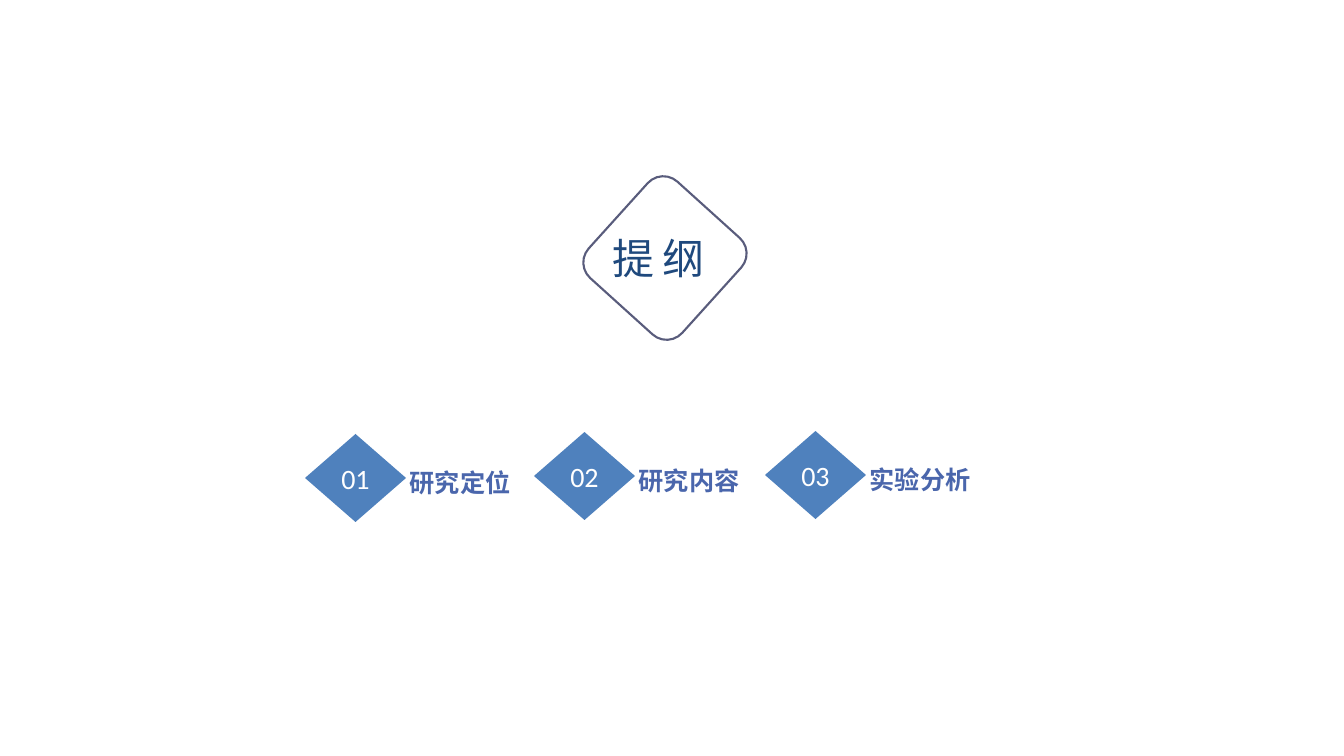
from pptx import Presentation
from pptx.dml.color import RGBColor
from pptx.enum.shapes import MSO_SHAPE as SHAPE
from pptx.enum.text import MSO_ANCHOR as ANCHOR, PP_ALIGN as ALIGN
from pptx.util import Pt

PX = 914400 / 100.8
COLORS = {
    "frame": "595C7C",
    "title": "1F497D",
    "label": "4A66AC",
    "diamond": "4F81BD",
    "white": "FFFFFF",
}
TOPICS = [
    ("01", "研究定位", 305, 434),
    ("02", "研究内容", 534, 432),
    ("03", "实验分析", 765, 431),
]


def add_shape(kind, x, y, w, h, fill=None, line=None, rotation=0):
    sp = s.shapes.add_shape(kind, *(round(v * PX) for v in (x, y, w, h)))
    sp.shadow.inherit = False
    sp.rotation = rotation
    if fill:
        sp.fill.solid()
        sp.fill.fore_color.rgb = RGBColor.from_string(COLORS[fill])
    else:
        sp.fill.background()
    if line:
        sp.line.color.rgb = RGBColor.from_string(COLORS[line])
        sp.line.width = Pt(1.5)
    else:
        sp.line.fill.background()
    return sp


def write(sp, text, size, font, color, align=ALIGN.CENTER, bold=False):
    """Fill a shape with one vertically centred line and return its run."""
    tf = sp.text_frame
    tf.text = text
    tf.word_wrap = True
    tf.vertical_anchor = ANCHOR.MIDDLE
    p = tf.paragraphs[0]
    p.alignment = align
    r = p.runs[0]
    r.font.size = Pt(size)
    r.font.name = font
    r.font.bold = bold
    r.font.color.rgb = RGBColor.from_string(COLORS[color])
    return r


prs = Presentation()
prs.slide_width = round(1344 * PX)
prs.slide_height = round(756 * PX)
s = prs.slides.add_slide(prs.slide_layouts[6])

# Title in a tilted rounded frame
add_shape(SHAPE.ROUNDED_RECTANGLE, 600, 195, 130, 126, line="frame", rotation=312.1)
title = s.shapes.add_textbox(*(round(v * PX) for v in (603, 219, 143, 77)))
r = write(title, "提 纲", 30, "Arial", "title", ALIGN.LEFT)
r.font._element.set("spc", "-80")

# Numbered topics: white backing, label, diamond
for number, name, x, y in TOPICS:
    add_shape(SHAPE.ROUNDED_RECTANGLE, x + 91, y - 13, 117, 115,
              fill="white", rotation=313.3)
    label = s.shapes.add_textbox(*(round(v * PX) for v in (x + 93, y + 19, 124, 59)))
    write(label, name, 18, "Calibri", "label", bold=True)
    diamond = add_shape(SHAPE.DIAMOND, x, y, 101, 88, fill="diamond")
    write(diamond, number, 20, "Calibri", "white")

prs.save("out.pptx")
